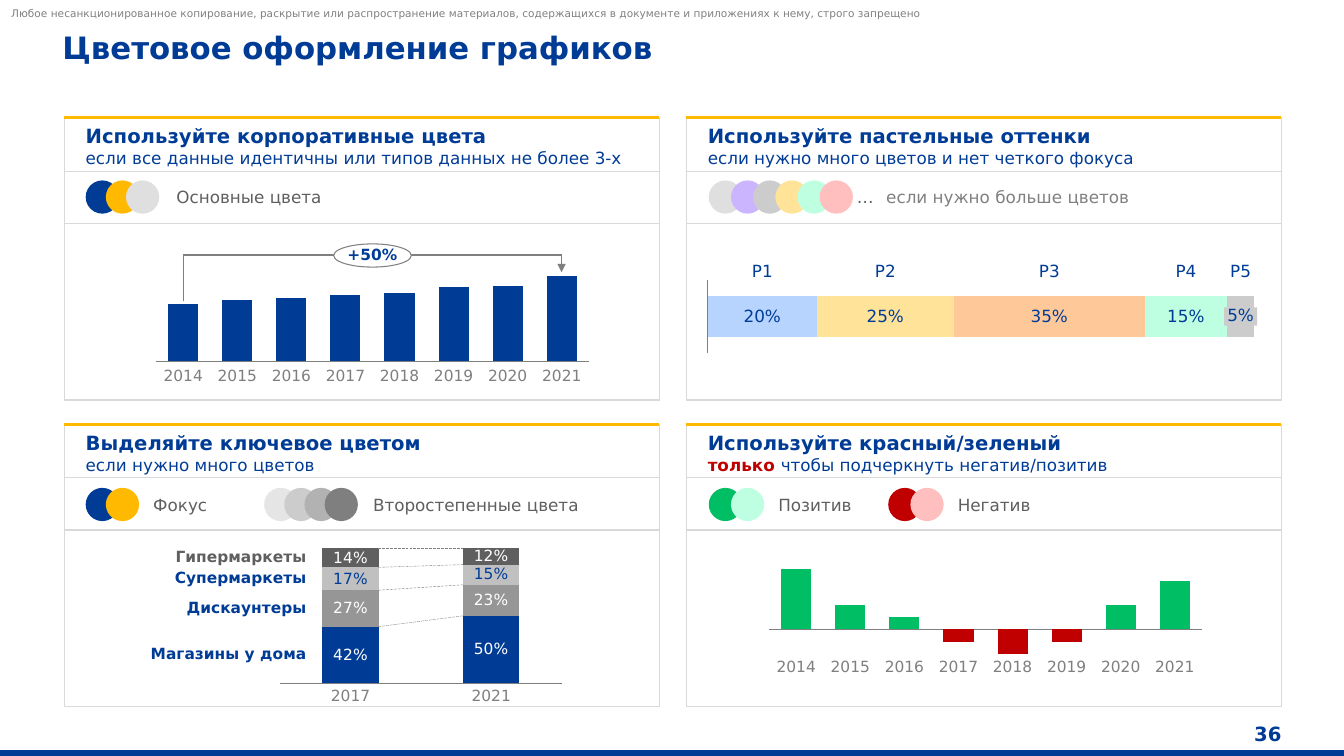
from itertools import accumulate
from typing import NamedTuple

from lxml.etree import SubElement
from pptx import Presentation
from pptx.chart.data import CategoryChartData
from pptx.dml.color import RGBColor
from pptx.enum.chart import XL_CHART_TYPE, XL_TICK_LABEL_POSITION, XL_TICK_MARK
from pptx.enum.dml import MSO_LINE
from pptx.enum.shapes import MSO_CONNECTOR, MSO_SHAPE
from pptx.enum.text import MSO_ANCHOR, PP_ALIGN
from pptx.oxml.ns import qn
from pptx.util import Inches, Pt

FONT = "DejaVu Sans"
BLUE, YELLOW, GREEN, RED, WHITE = map(RGBColor.from_string, ("003C96", "FFB900", "00BE64", "C00000", "FFFFFF"))
MINT, PINK, LILAC = map(RGBColor.from_string, ("BFFFE1", "FFBFBF", "CCB5FF"))
SKY, CREAM, PEACH = map(RGBColor.from_string, ("B7D4FF", "FFE399", "FFC899"))
DARK, GRAY, NOTE, STEEL, ASH = map(RGBColor.from_string, ("5F5F5F", "7F7F7F", "808080", "969696", "B2B2B2"))
SILVER, LIGHT, BORDER, PALE, MIST = map(RGBColor.from_string, ("C0C0C0", "CCCCCC", "D9D9D9", "DFDFDF", "E5E5E5"))
Box = tuple[float, float, float, float]


class Panel(NamedTuple):
    x: float
    y: float
    title: str
    subtitle: str
    accent: str = ""


class Legend(NamedTuple):
    x: float
    y: float
    pitch: float
    colors: tuple[RGBColor, ...]
    label_x: float
    label: str
    label_color: RGBColor = DARK


class Series(NamedTuple):
    name: str
    values: tuple[int, ...]
    color: RGBColor
    label_color: RGBColor | None = None


class ChartSpec(NamedTuple):
    at: Box
    plot: Box
    categories: list[str]
    series: list[Series]
    kind: XL_CHART_TYPE = XL_CHART_TYPE.COLUMN_STACKED
    gap: int = 80
    minimum: int = 0
    label_size: int = 11

    def plot_box(self) -> Box:
        (x, y, w, h), (px, py, pw, ph) = self.at, self.plot
        return x + px * w, y + py * h, pw * w, ph * h


YEARS = [str(year) for year in range(2014, 2022)]
PANELS = [
    Panel(0.64, 1.17, "Используйте корпоративные цвета", "если все данные идентичны или типов данных не более 3-х"),
    Panel(6.81, 1.17, "Используйте пастельные оттенки", "если нужно много цветов и нет четкого фокуса"),
    Panel(0.64, 4.21, "Выделяйте ключевое цветом", "если нужно много цветов"),
    Panel(6.81, 4.21, "Используйте красный/зеленый", "чтобы подчеркнуть негатив/позитив", "только "),
]
LEGENDS = [
    Legend(0.85, 1.79, 0.2, (BLUE, YELLOW, PALE), 1.7, "Основные цвета"),
    Legend(7.03, 1.79, 0.22, (PALE, LILAC, LIGHT, CREAM, MINT, PINK), 8.45, "…"),
    Legend(8.74, 1.79, 0, (), 8.74, "если нужно больше цветов", NOTE),
    Legend(0.85, 4.84, 0.2, (BLUE, YELLOW), 1.47, "Фокус"),
    Legend(2.62, 4.84, 0.2, (MIST, LIGHT, ASH, GRAY), 3.65, "Второстепенные цвета"),
    Legend(7.03, 4.84, 0.22, (GREEN, MINT), 7.67, "Позитив"),
    Legend(8.81, 4.84, 0.22, (RED, PINK), 9.45, "Негатив"),
]
COLUMN_PLOT = (0.02, 0.09, 0.96, 0.82)
GROWTH = ChartSpec((1.46, 2.65, 4.47, 1.03), COLUMN_PLOT, YEARS,
                   [Series("Рост", (67, 72, 74, 78, 81, 87, 89, 100), BLUE)])
BALANCE = ChartSpec((7.54, 5.55, 4.47, 1.03), COLUMN_PLOT, YEARS,
                    [Series("Баланс", (100, 40, 20, -20, -40, -20, 40, 80), GREEN)], minimum=-40)
FORMATS = ChartSpec((2.69, 5.35, 2.97, 1.52), (0.03, 0.06, 0.94, 0.88), ["2017", "2021"], [
    Series("Магазины у дома", (42, 50), BLUE, WHITE), Series("Дискаунтеры", (27, 23), STEEL, WHITE),
    Series("Супермаркеты", (17, 15), SILVER, BLUE), Series("Гипермаркеты", (14, 12), DARK, WHITE)], gap=150)
SHARES = ChartSpec((6.93, 2.69, 5.6, 0.9), (0.016, 0.1, 0.968, 0.8), ["1"], [
    Series("P1", (20,), SKY, BLUE), Series("P2", (25,), CREAM, BLUE), Series("P3", (35,), PEACH, BLUE),
    Series("P4", (15,), MINT, BLUE), Series("P5", (5,), LIGHT)], kind=XL_CHART_TYPE.BAR_STACKED, label_size=12)


def add_run(p, text: str, *, size: float = 12, color: RGBColor = BLUE, bold: bool = False) -> None:
    r = p.add_run()
    r.text = text
    r.font.name, r.font.size, r.font.bold, r.font.color.rgb = FONT, Pt(size), bold, color


def add_text(shapes, at: Box, text: str, *, align=PP_ALIGN.LEFT, anchor=MSO_ANCHOR.MIDDLE, wrap: bool = True,
             insets: Box = (0, 0, 0, 0), spacing: float = 1.0, sp=None, **font):
    tf = (sp or shapes.add_textbox(*map(Inches, at))).text_frame
    tf.word_wrap, tf.vertical_anchor = wrap, anchor
    tf.margin_left, tf.margin_top, tf.margin_right, tf.margin_bottom = map(Inches, insets)
    p = tf.paragraphs[0]
    p.alignment, p.line_spacing = align, spacing
    add_run(p, text, **font)
    return tf


def add_centered(shapes, cx: float, y: float, w: float, h: float, text: str, **style) -> None:
    add_text(shapes, (cx - w / 2, y, w, h), text, align=PP_ALIGN.CENTER, wrap=False, spacing=0.9, **style)


def add_shape(shapes, kind, at: Box, *, fill=None, line=None, width: float = 1):
    sp = shapes.add_shape(kind, *map(Inches, at))
    sp.shadow.inherit = False
    sp.line.width = Pt(width)
    for part, color in ((sp.fill, fill), (sp.line.fill, line)):
        if color is None:
            part.background()
        else:
            part.solid()
            part.fore_color.rgb = color
    return sp


def add_line(shapes, ends: Box, *, color: RGBColor = BORDER, width: float = 1, dash=None, arrow: bool = False) -> None:
    cxn = shapes.add_connector(MSO_CONNECTOR.STRAIGHT, *map(Inches, ends))
    cxn.line.color.rgb, cxn.line.width, cxn.line.dash_style = color, Pt(width), dash
    if arrow:
        SubElement(cxn.element.spPr.find(qn("a:ln")), qn("a:tailEnd"), type="triangle")
    SubElement(cxn.element.spPr, qn("a:effectLst"))


def add_panel(s, panel: Panel) -> None:
    shapes = s.shapes.add_group_shape().shapes
    x, y, right = panel.x, panel.y, panel.x + 5.9
    add_shape(shapes, MSO_SHAPE.RECTANGLE, (x, y, 5.9, 2.8), line=BORDER)
    add_line(shapes, (x - 0.01, y, right, y), color=YELLOW, width=2.25)
    for offset in (0.53, 1.05):
        add_line(shapes, (x, y + offset, right, y + offset))
    tf = add_text(shapes, (x + 0.21, y + 0.06, 5.63, 0.44), panel.title, size=14, bold=True)
    p = tf.add_paragraph()
    if panel.accent:
        add_run(p, panel.accent, color=RED, bold=True)
    add_run(p, panel.subtitle)


def add_legend(s, legend: Legend) -> None:
    for i, color in enumerate(legend.colors):
        add_shape(s.shapes, MSO_SHAPE.OVAL, (legend.x + i * legend.pitch, legend.y, 0.33, 0.33), fill=color)
    add_text(s.shapes, (legend.label_x, legend.y - 0.03, 2.83, 0.39), legend.label, color=legend.label_color,
             insets=(0.05, 0.1, 0.08, 0.1))


def add_chart(s, spec: ChartSpec) -> None:
    data = CategoryChartData(number_format='0"%"')
    data.categories = spec.categories
    for series in spec.series:
        data.add_series(series.name, series.values)
    chart = s.shapes.add_chart(spec.kind, *map(Inches, spec.at), data).chart
    chart.has_legend = chart.has_title = False
    chart.font.name, chart.font.size, chart.font.color.rgb = FONT, Pt(10), BLUE
    cat, val, plot = chart.category_axis, chart.value_axis, chart.plots[0]
    cat.tick_label_position = XL_TICK_LABEL_POSITION.NONE
    cat.major_tick_mark = cat.minor_tick_mark = XL_TICK_MARK.NONE
    cat.format.line.color.rgb, cat.format.line.width = GRAY, Pt(0.75)
    cat.has_major_gridlines = val.has_major_gridlines = val.visible = False
    val.minimum_scale, val.maximum_scale = spec.minimum, 100
    plot.gap_width, plot.overlap, plot.vary_by_categories = spec.gap, 100, False
    for ser, series in zip(plot.series, spec.series):
        ser.invert_if_negative = False
        negatives = [ser.points[i] for i, value in enumerate(series.values) if value < 0]
        for target, color in [(ser, series.color)] + [(point, RED) for point in negatives]:
            target.format.fill.solid()
            target.format.fill.fore_color.rgb = color
        if series.label_color is not None:
            labels = ser.data_labels
            labels.show_value = True
            labels.font.name, labels.font.size, labels.font.color.rgb = FONT, Pt(spec.label_size), series.label_color
    for body in chart.element.iter(qn("a:bodyPr")):
        body.set("wrap", "none")
    area = chart.element.find(".//" + qn("c:plotArea"))
    for layout in area.findall(qn("c:layout")):
        area.remove(layout)
    layout = SubElement(area, qn("c:layout"))
    area.insert(0, layout)
    manual = SubElement(layout, qn("c:manualLayout"))
    for name, value in zip(("layoutTarget", "xMode", "yMode", *"xywh"), ("inner", "edge", "edge", *spec.plot)):
        SubElement(manual, qn(f"c:{name}"), val=str(value))


def add_years(s, spec: ChartSpec, y: float) -> None:
    left, _, width, _ = spec.plot_box()
    for i, year in enumerate(spec.categories):
        center = left + (i + 0.5) * width / len(spec.categories)
        add_centered(s.shapes, center, y, 0.4, 0.16, year, size=11, color=GRAY, anchor=MSO_ANCHOR.TOP)


def add_growth_arrow(s) -> None:
    for ends in ((1.82, 2.99, 1.82, 2.53), (1.82, 2.53, 5.57, 2.53), (5.57, 2.53, 5.57, 2.7)):
        add_line(s.shapes, ends, color=GRAY, arrow=ends[3] == 2.7)
    sp = add_shape(s.shapes, MSO_SHAPE.OVAL, (3.31, 2.42, 0.77, 0.23), fill=WHITE, line=GRAY, width=0.75)
    add_centered(s.shapes, 3.7, 2.42, 0.77, 0.23, "+50%", size=11, bold=True, sp=sp)


def add_format_labels(s) -> None:
    _, top, _, height = FORMATS.plot_box()
    tops = [[top + height * (1 - total / 100) for total in accumulate(column)]
            for column in zip(*(series.values for series in FORMATS.series))]
    for series, y1, y2 in zip(FORMATS.series, *tops):
        add_line(s.shapes, (3.75, y1, 4.59, y2), color=GRAY, width=0.25, dash=MSO_LINE.LONG_DASH)
        middle = y1 + height * series.values[0] / 200
        add_text(s.shapes, (1.44, middle - 0.08, 1.6, 0.16), series.name, size=11, bold=True, spacing=0.9,
                 color=DARK if series.color == DARK else BLUE, align=PP_ALIGN.RIGHT)


def add_share_labels(s) -> None:
    left, _, width, _ = SHARES.plot_box()
    for series, end in zip(SHARES.series, accumulate(series.values[0] for series in SHARES.series)):
        center = left + width * (end - series.values[0] / 2) / 100
        add_centered(s.shapes, center, 2.61, 0.21, 0.18, series.name, anchor=MSO_ANCHOR.BOTTOM)
    sp = add_shape(s.shapes, MSO_SHAPE.RECTANGLE, (12.14, 3.05, 0.33, 0.18), fill=LIGHT)
    add_centered(s.shapes, 12.3, 3.05, 0.33, 0.18, "5%", insets=(0.02, 0, 0.02, 0), sp=sp)


def main() -> None:
    prs = Presentation()
    prs.slide_width, prs.slide_height = Inches(13.33), Inches(7.5)
    s = prs.slides.add_slide(prs.slide_layouts[6])
    add_shape(s.shapes, MSO_SHAPE.RECTANGLE, (0, 7.45, 13.33, 0.05), fill=BLUE, line=BLUE)
    add_text(s.shapes, (0.11, 0.07, 11.48, 0.13), "Любое несанкционированное копирование, раскрытие или "
             "распространение материалов, содержащихся в документе и приложениях к нему, строго запрещено",
             size=7.5, color=NOTE)
    add_text(s.shapes, (0.62, 0.28, 10.94, 0.37), "Цветовое оформление графиков", size=22, bold=True)
    add_text(s.shapes, (12.14, 7.16, 0.57, 0.24), "36", size=14, bold=True, align=PP_ALIGN.RIGHT)
    for panel in PANELS:
        add_panel(s, panel)
    for legend in LEGENDS:
        add_legend(s, legend)
    for spec in (GROWTH, SHARES, FORMATS, BALANCE):
        add_chart(s, spec)
    for spec, y in ((GROWTH, 3.65), (FORMATS, 6.83), (BALANCE, 6.54)):
        add_years(s, spec, y)
    add_growth_arrow(s)
    add_format_labels(s)
    add_share_labels(s)
    prs.save("out.pptx")


if __name__ == "__main__":
    main()
